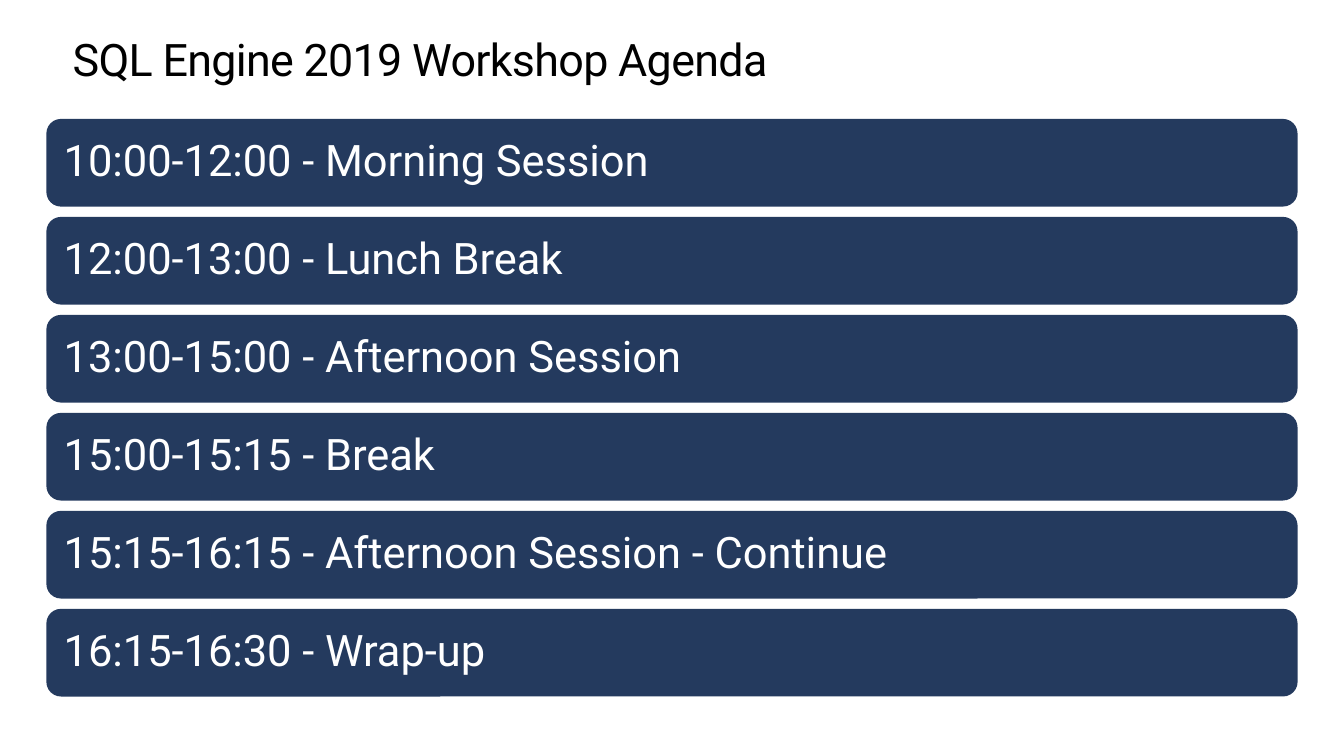
from pptx import Presentation
from pptx.dml.color import RGBColor
from pptx.enum.shapes import MSO_SHAPE as Shape
from pptx.enum.text import MSO_ANCHOR as Anchor, MSO_AUTO_SIZE as AutoSize, PP_ALIGN as Align
from pptx.util import Inches, Pt

NAVY = RGBColor(0x24, 0x3A, 0x5E)
WHITE = RGBColor(0xFF, 0xFF, 0xFF)
BLACK = RGBColor(0x00, 0x00, 0x00)
FONT = "Roboto"

TITLE = "SQL Engine 2019 Workshop Agenda"
AGENDA = [
    "10:00-12:00 - Morning Session",
    "12:00-13:00 - Lunch Break",
    "13:00-15:00 - Afternoon Session",
    "15:00-15:15 - Break",
    "15:15-16:15 - Afternoon Session - Continue",
    "16:15-16:30 - Wrap-up",
]
FIRST_TOP, LAST_TOP = 1.18, 6.04
BAR_STEP = (LAST_TOP - FIRST_TOP) / (len(AGENDA) - 1)


def write_text(box, text, size, color, line_spacing, margins):
    """Put one left-aligned line of text into a box."""
    frame = box.text_frame
    frame.text = text
    frame.word_wrap = True
    frame.margin_left = frame.margin_right = Inches(margins[0])
    frame.margin_top = frame.margin_bottom = Inches(margins[1])
    para = frame.paragraphs[0]
    para.alignment = Align.LEFT
    para.line_spacing = line_spacing
    span = para.runs[0]
    span.font.name = FONT
    span.font.size = Pt(size)
    span.font.color.rgb = color
    return span


def add_title(page, text):
    title = page.shapes.title
    title.left, title.top = Inches(0.72), Inches(0.35)
    title.width, title.height = Inches(11.9), Inches(0.5)
    span = write_text(title, text, 32, BLACK, Pt(36.2), (0, 0))
    title.text_frame.vertical_anchor = Anchor.TOP
    title.text_frame.auto_size = AutoSize.SHAPE_TO_FIT_TEXT
    # Slightly tightened letter spacing
    span.font._element.set("spc", "-50")


def add_agenda_bar(page, text, top):
    bar = page.shapes.add_shape(
        Shape.ROUNDED_RECTANGLE, Inches(0.46), Inches(top), Inches(12.41), Inches(0.87)
    )
    bar.shadow.inherit = False
    bar.fill.solid()
    bar.fill.fore_color.rgb = NAVY
    bar.line.fill.background()
    write_text(bar, text, 31, WHITE, 0.9, (0.13, 0.13))
    bar.text_frame.vertical_anchor = Anchor.MIDDLE


def main():
    deck = Presentation()
    deck.slide_width, deck.slide_height = Inches(13.33), Inches(7.5)
    page = deck.slides.add_slide(deck.slide_layouts[5])

    # Heading
    add_title(page, TITLE)

    # Evenly stacked agenda bars
    for index, entry in enumerate(AGENDA):
        add_agenda_bar(page, entry, FIRST_TOP + index * BAR_STEP)

    deck.save("out.pptx")


if __name__ == "__main__":
    main()
